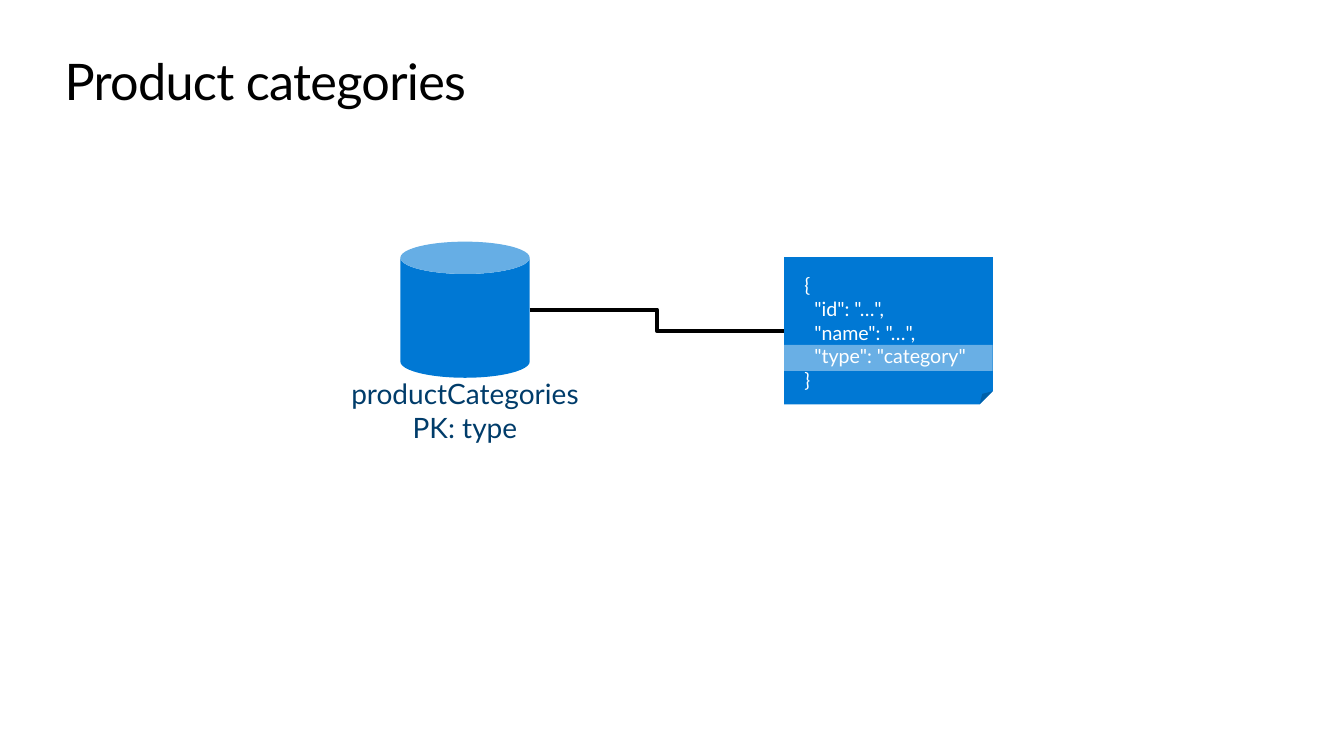
from dataclasses import dataclass

from lxml import etree
from pptx import Presentation
from pptx.dml.color import RGBColor
from pptx.enum.shapes import MSO_CONNECTOR, MSO_SHAPE
from pptx.enum.text import MSO_ANCHOR, PP_ALIGN
from pptx.oxml.ns import qn
from pptx.shapes.autoshape import Shape
from pptx.slide import Slide
from pptx.text.text import TextFrame
from pptx.util import Cm, Pt

CAN, NOTE, BAND = MSO_SHAPE.CAN, MSO_SHAPE.FOLDED_CORNER, MSO_SHAPE.RECTANGLE
ELBOW = MSO_CONNECTOR.ELBOW
TOP, MIDDLE = MSO_ANCHOR.TOP, MSO_ANCHOR.MIDDLE
LEFT, CENTER = PP_ALIGN.LEFT, PP_ALIGN.CENTER

BLACK = RGBColor(0x00, 0x00, 0x00)
WHITE = RGBColor(0xFF, 0xFF, 0xFF)
BLUE = RGBColor(0x00, 0x78, 0xD4)
NAVY = RGBColor(0x00, 0x3C, 0x6A)
FONT = "Lato"


@dataclass(frozen=True)
class Block:
    """A filled preset shape, measured in centimetres."""
    preset: MSO_SHAPE
    left: float
    top: float
    width: float
    height: float
    fill: RGBColor


@dataclass(frozen=True)
class TextStyle:
    """Text settings; insets are left, top, right and bottom in centimetres."""
    size: int
    color: RGBColor
    insets: tuple[float, float, float, float] = (0, 0, 0, 0)
    align: PP_ALIGN = LEFT
    anchor: MSO_ANCHOR = TOP
    wrap: bool = True


CONTAINER = Block(CAN, 10.09, 6.09, 3.26, 3.43, BLUE)
DOCUMENT = Block(NOTE, 19.76, 6.48, 5.26, 3.71, BLUE)
KEY_BAND = Block(BAND, DOCUMENT.left, 8.69, DOCUMENT.width, 0.66, WHITE)

TITLE_STYLE = TextStyle(36, BLACK)
CODE_STYLE = TextStyle(14, WHITE, (0.51, 0.41, 0.51, 0.41))
# The tall top inset pushes the label below the cylinder.
LABEL_STYLE = TextStyle(20, NAVY, (0, 5.08, 0, 0.41), CENTER, MIDDLE, False)

CONTAINER_LABEL = "productCategories\nPK: type"
DOCUMENT_CODE = """{
  "id": "…",
  "name": "…",
  "type": "category"
}"""


def write_text(frame: TextFrame, text: str, style: TextStyle) -> None:
    frame.word_wrap = style.wrap
    frame.vertical_anchor = style.anchor
    (frame.margin_left, frame.margin_top,
     frame.margin_right, frame.margin_bottom) = map(Cm, style.insets)
    frame.text = text
    for paragraph in frame.paragraphs:
        paragraph.alignment = style.align
        for run in paragraph.runs:
            run.font.name = FONT
            run.font.size = Pt(style.size)
            run.font.color.rgb = style.color


def add_title(slide: Slide, text: str) -> None:
    title = slide.shapes.add_textbox(Cm(1.63), Cm(1.27), Cm(30.61), Cm(1.55))
    write_text(title.text_frame, text, TITLE_STYLE)
    run = title.text_frame.paragraphs[0].runs[0]
    run.font._element.set("spc", "-50")


def add_block(slide: Slide, block: Block) -> Shape:
    shape = slide.shapes.add_shape(
        block.preset, Cm(block.left), Cm(block.top), Cm(block.width), Cm(block.height))
    shape.shadow.inherit = False
    shape.fill.solid()
    shape.fill.fore_color.rgb = block.fill
    shape.line.fill.background()
    return shape


def set_fold(note: Shape, size: int) -> None:
    """Set the folded corner in 1/100000 of the note's shorter side."""
    geometry = note._element.spPr.find(qn("a:prstGeom"))
    guides = geometry.find(qn("a:avLst"))
    guide = etree.SubElement(guides, qn("a:gd"))
    guide.set("name", "adj")
    guide.set("fmla", f"val {size}")


def set_opacity(shape: Shape, percent: int) -> None:
    color = shape._element.spPr.find(qn("a:solidFill")).find(qn("a:srgbClr"))
    etree.SubElement(color, qn("a:alpha")).set("val", str(percent * 1000))


def add_link(slide: Slide, source: Block, target: Block) -> None:
    """Join the right side of source to the left side of target with an elbow."""
    link = slide.shapes.add_connector(
        ELBOW,
        Cm(source.left + source.width), Cm(source.top + source.height / 2),
        Cm(target.left), Cm(target.top + target.height / 2))
    link.line.color.rgb = BLACK
    link.line.width = Pt(3)
    etree.SubElement(link._element.spPr, qn("a:effectLst"))


def main() -> None:
    presentation = Presentation()
    presentation.slide_width, presentation.slide_height = Cm(33.87), Cm(19.05)
    slide = presentation.slides.add_slide(presentation.slide_layouts[6])

    add_title(slide, "Product categories")

    document = add_block(slide, DOCUMENT)
    set_fold(document, 8900)
    write_text(document.text_frame, DOCUMENT_CODE, CODE_STYLE)

    container = add_block(slide, CONTAINER)
    write_text(container.text_frame, CONTAINER_LABEL, LABEL_STYLE)

    add_link(slide, CONTAINER, DOCUMENT)

    key_band = add_block(slide, KEY_BAND)
    set_opacity(key_band, 41)

    presentation.save("out.pptx")


if __name__ == "__main__":
    main()
